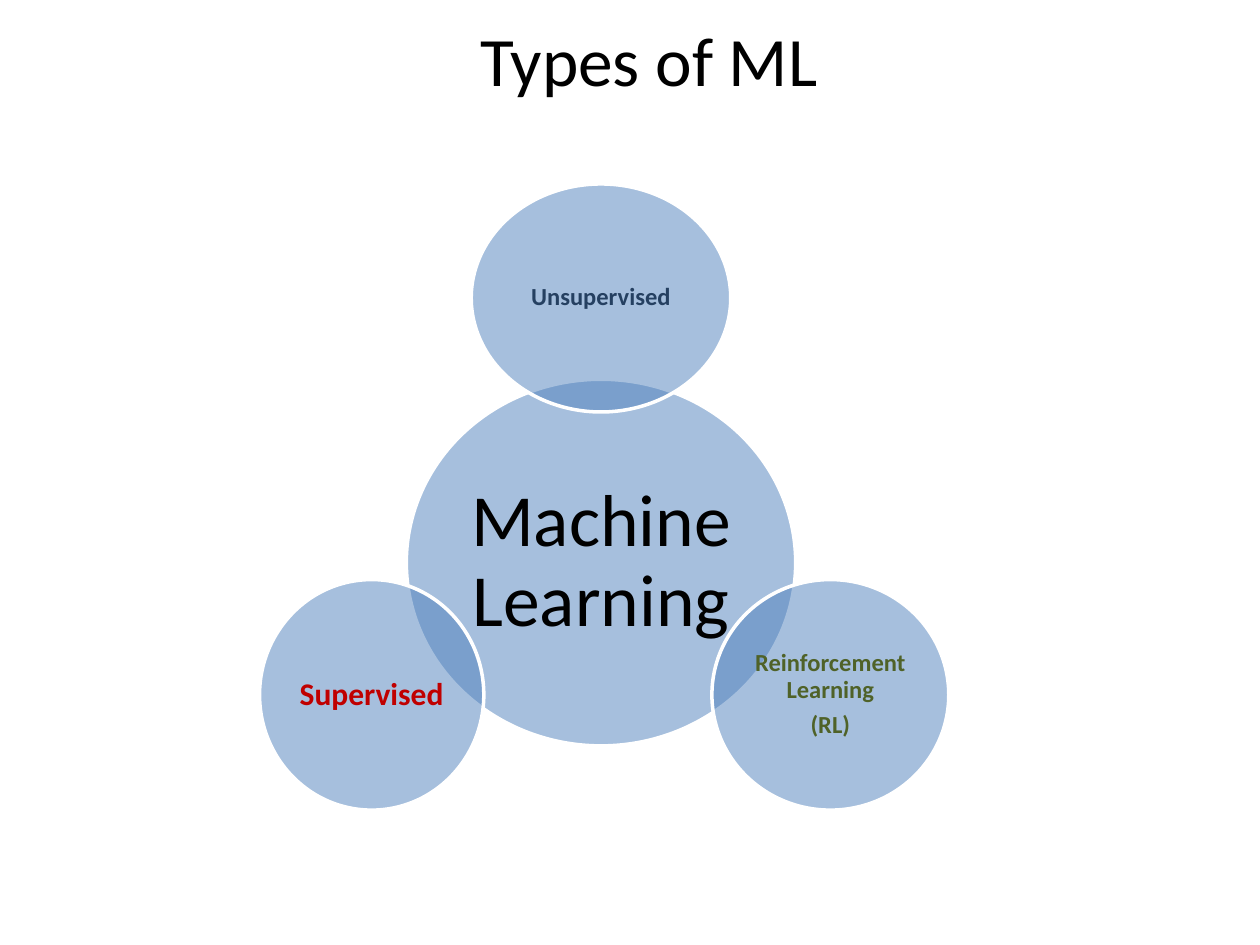
from lxml import etree
from pptx import Presentation
from pptx.dml.color import RGBColor
from pptx.enum.shapes import MSO_SHAPE as Shape
from pptx.enum.text import MSO_ANCHOR as Anchor, PP_ALIGN as Align
from pptx.oxml.ns import qn
from pptx.util import Inches, Pt


def color(value):
    return RGBColor.from_string(value)


def write(frame, lines, size, ink, bold, margin, spacing):
    frame_format = dict(word_wrap=True, vertical_anchor=Anchor.MIDDLE,
                        margin_left=margin, margin_right=margin,
                        margin_top=margin, margin_bottom=margin)
    for name, value in frame_format.items():
        setattr(frame, name, value)
    frame.text = "\n".join(lines)
    for index, para in enumerate(frame.paragraphs):
        para_format = dict(alignment=Align.CENTER, line_spacing=spacing,
                           space_before=Pt(0.35 * size if index else 0))
        for name, value in para_format.items():
            setattr(para, name, value)
        for span in para.runs:
            for name, value in dict(name="Calibri", size=Pt(size), bold=bold).items():
                setattr(span.font, name, value)
            span.font.color.rgb = color(ink)


# Deck and page
deck = Presentation()
deck.slide_width, deck.slide_height = Inches(10), Inches(7.5)
page = deck.slides.add_slide(deck.slide_layouts[5])

# Title
title = page.shapes.title
title.left, title.top = Inches(0.3), Inches(0.24)
title.width, title.height = Inches(9.7), Inches(0.46)
write(title.text_frame, ["Types of ML"], 39.6, "000000", False, 0, 1)

# Circles: centre x, centre y, width, height, lines, size, ink, bold
middle, side, low = 4.77, 1.82, 5.515
circles = [
    (middle, 4.465, 3.09, 2.91, ["Machine Learning"], 42, "000000", False),
    (middle, 2.365, 2.06, 1.81, ["Unsupervised"], 14, "254061", True),
    (middle + side, low, 1.88, 1.83, ["Reinforcement Learning", "(RL)"], 14, "4F6228", True),
    (middle - side, low, 1.78, 1.83, ["Supervised"], 18, "C00000", True),
]
for x, y, width, height, lines, size, ink, bold in circles:
    circle = page.shapes.add_shape(
        Shape.OVAL, Inches(x - width / 2), Inches(y - height / 2),
        Inches(width), Inches(height))
    circle.shadow.inherit = False
    circle.fill.solid()
    circle.fill.fore_color.rgb = color("4F81BD")
    # Half-transparent fill, so that overlaps show darker
    tint = circle.fill._xPr.find(qn("a:solidFill"))[0]
    etree.SubElement(tint, qn("a:alpha")).set("val", "50000")
    circle.line.color.rgb = color("FFFFFF")
    circle.line.width = Pt(2)
    write(circle.text_frame, lines, size, ink, bold, Inches(0.02), 0.9)

deck.save("out.pptx")
